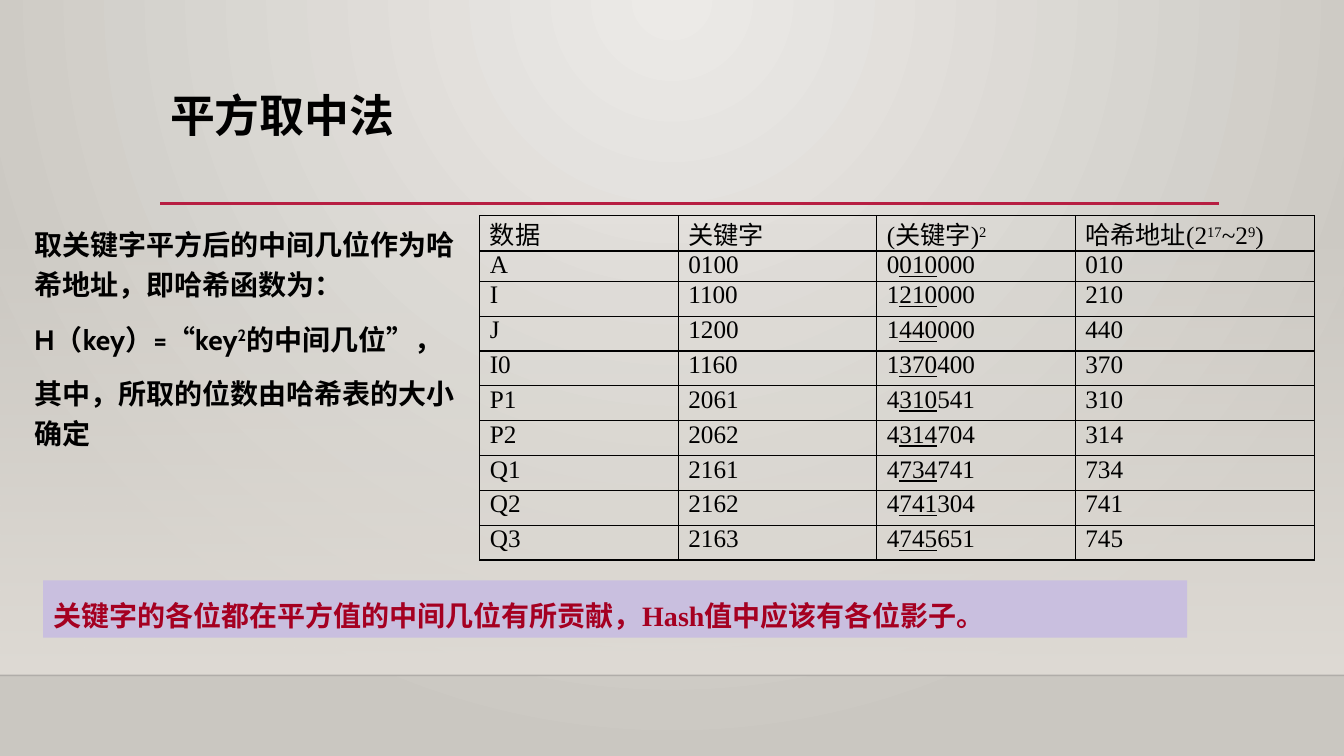
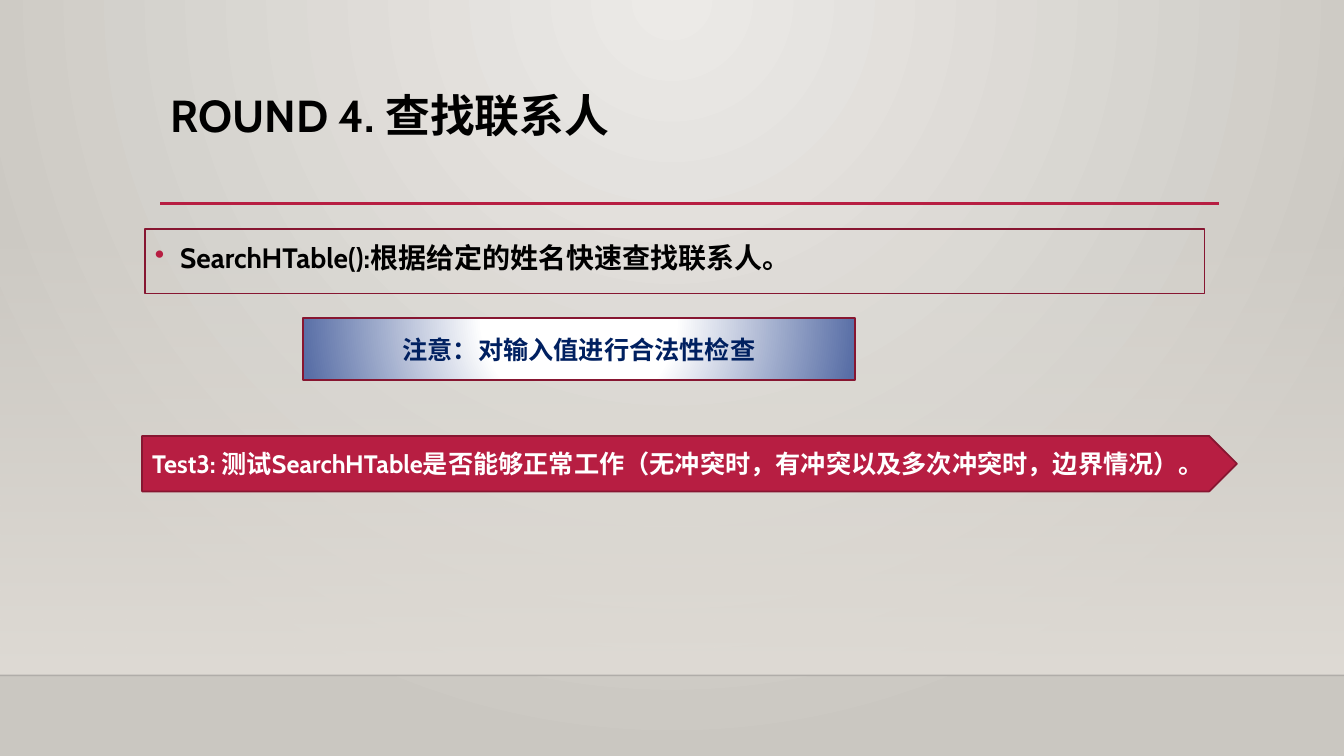
from dataclasses import dataclass
from typing import Any, NamedTuple, Optional, Sequence, Union

import pptx
import pptx.dml.color
import pptx.enum.shapes
import pptx.enum.text
import pptx.oxml
import pptx.oxml.ns
import pptx.util

Pt = pptx.util.Pt
qn = pptx.oxml.ns.qn
ALIGN = pptx.enum.text.PP_ALIGN
ANCHOR = pptx.enum.text.MSO_ANCHOR
PRESET = pptx.enum.shapes.MSO_SHAPE


@dataclass(frozen=True)
class Theme:
    black: str = "000000"
    white: str = "FFFFFF"
    navy: str = "002060"
    accent: str = "B71E42"
    accent_dark: str = "871631"
    note_fill: str = "C9BFDF"
    note_text: str = "A50021"
    glow_blue: str = "586EA6"
    light: str = "ECEAE7"
    shade: str = "CAC7C1"
    floor: str = "DFDBD5"
    floor_edge: str = "000001"
    sans: str = "Cabin"
    serif: str = "Times New Roman"
    title_size: float = 32
    body_size: float = 20
    small_size: float = 18


THEME = Theme()


class Box(NamedTuple):
    left: float
    top: float
    width: float
    height: float


class Stop(NamedTuple):
    position: int
    color: str
    alpha: int = 100


class Span(NamedTuple):
    text: str
    raised: bool = False
    underlined: bool = False


Line = Union[str, Sequence[Span]]


@dataclass(frozen=True)
class TextStyle:
    size: float
    color: str = THEME.black
    font: str = THEME.sans
    bold: bool = True
    align: Any = ALIGN.LEFT
    spacing: float = 1.0
    gap: float = 0
    bullet: Optional[str] = None


@dataclass(frozen=True)
class Panel:
    preset: Any
    box: Box
    text: str
    style: TextStyle
    fill: Optional[str] = None
    edge: Optional[str] = None
    edge_width: float = 1.25
    anchor: Any = ANCHOR.MIDDLE


TITLE = TextStyle(THEME.title_size, spacing=0.9)
BODY = TextStyle(THEME.body_size, spacing=1.2, gap=10)
BULLET = TextStyle(THEME.body_size, spacing=1.2, bullet="•")
CELL = TextStyle(THEME.small_size, font=THEME.serif, bold=False, align=ALIGN.JUSTIFY)
NOTE = TextStyle(THEME.body_size, THEME.note_text, THEME.serif, spacing=1.4)
HINT = TextStyle(THEME.small_size, THEME.navy, align=ALIGN.CENTER)
TEST = TextStyle(THEME.small_size, THEME.white)


# Drawing helpers
def rgb(color: str) -> Any:
    return pptx.dml.color.RGBColor.from_string(color)


def xml(markup: str) -> Any:
    """Build an element from markup whose root tag lacks its namespace."""
    tag_end = min(markup.index(mark) for mark in " />" if mark in markup)
    declared = f"{markup[:tag_end]} {pptx.oxml.ns.nsdecls('a')}{markup[tag_end:]}"
    return pptx.oxml.parse_xml(declared)


def set_gradient(parent: Any, stops: Sequence[Stop],
                 focus: Optional[Sequence[int]] = None) -> None:
    """Swap the solid fill in parent for a radial or top-down gradient."""
    marks = "".join(
        f'<a:gs pos="{s.position * 1000}"><a:srgbClr val="{s.color}">'
        f'<a:alpha val="{s.alpha * 1000}"/></a:srgbClr></a:gs>' for s in stops)
    if focus:
        sides = " ".join(f'{side}="{value * 1000}"' for side, value in zip("ltrb", focus))
        course = f'<a:path path="circle"><a:fillToRect {sides}/></a:path>'
    else:
        course = '<a:lin ang="5400000" scaled="0"/>'
    gradient = xml(f'<a:gradFill rotWithShape="1"><a:gsLst>{marks}</a:gsLst>{course}</a:gradFill>')
    parent.replace(parent.find(qn("a:solidFill")), gradient)


def write(frame: Any, lines: Sequence[Line], style: TextStyle) -> None:
    frame.word_wrap = True
    for index, line in enumerate(lines):
        paragraph = frame.add_paragraph() if index else frame.paragraphs[0]
        paragraph.alignment = style.align
        paragraph.line_spacing = style.spacing
        paragraph.space_before = Pt(style.gap if index else 0)
        if style.bullet:
            properties = paragraph._p.get_or_add_pPr()
            properties.set("marL", str(Pt(18)))
            properties.set("indent", str(-Pt(18)))
            properties.append(xml(f'<a:buClr><a:srgbClr val="{THEME.accent}"/></a:buClr>'))
            properties.append(xml(f'<a:buChar char="{style.bullet}"/>'))
        for span in [Span(line)] if isinstance(line, str) else line:
            run = paragraph.add_run()
            run.text = span.text
            run.font.size = Pt(style.size)
            run.font.name = style.font
            run.font.bold = style.bold
            run.font.color.rgb = rgb(style.color)
            if span.underlined:
                run.font.underline = True
            if span.raised:
                run._r.get_or_add_rPr().set("baseline", "30000")


def add_text(slide: Any, box: Box, lines: Sequence[Line], style: TextStyle) -> None:
    write(slide.shapes.add_textbox(*map(Pt, box)).text_frame, lines, style)


def add_rule(slide: Any, left: float, right: float, y: float,
             color: str, width: float, alpha: int = 100) -> None:
    rule = slide.shapes.add_connector(
        pptx.enum.shapes.MSO_CONNECTOR.STRAIGHT, Pt(left), Pt(y), Pt(right), Pt(y))
    rule.line.color.rgb = rgb(color)
    rule.line.width = Pt(width)
    shade = rule.element.spPr.find(f".//{qn('a:srgbClr')}")
    shade.append(xml(f'<a:alpha val="{alpha * 1000}"/>'))
    rule.element.spPr.append(xml("<a:effectLst/>"))


def add_panel(slide: Any, panel: Panel) -> Any:
    shape = slide.shapes.add_shape(panel.preset, *map(Pt, panel.box))
    shape.shadow.inherit = False
    if panel.fill:
        shape.fill.solid()
        shape.fill.fore_color.rgb = rgb(panel.fill)
    else:
        shape.fill.background()
    if panel.edge:
        shape.line.color.rgb = rgb(panel.edge)
        shape.line.width = Pt(panel.edge_width)
    else:
        shape.line.fill.background()
    if panel.text:
        shape.text_frame.vertical_anchor = panel.anchor
        write(shape.text_frame, [panel.text], panel.style)
    return shape


def add_grid(slide: Any, left: float, top: float, widths: Sequence[float],
             heights: Sequence[float], rows: Sequence[Sequence[Line]]) -> None:
    table = slide.shapes.add_table(len(heights), len(widths), Pt(left), Pt(top),
                                   Pt(sum(widths)), Pt(sum(heights))).table
    table.first_row = table.horz_banding = False
    for column, width in zip(table.columns, widths):
        column.width = Pt(width)
    for row, height, lines in zip(table.rows, heights, rows):
        row.height = Pt(height)
        for cell, line in zip(row.cells, lines):
            cell.margin_top = cell.margin_bottom = Pt(0)
            cell.margin_left = cell.margin_right = Pt(7.2)
            cell.fill.background()
            write(cell.text_frame, [line], CELL)
            for index, side in enumerate("LRTB"):
                cell._tc.get_or_add_tcPr().insert(index, xml(
                    f'<a:ln{side} w="{Pt(1)}"><a:solidFill><a:srgbClr val="{THEME.black}"/>'
                    f'</a:solidFill></a:ln{side}>'))


# Shared backdrop and title
def start_slide(deck: Any, title: str) -> Any:
    slide = deck.slides.add_slide(deck.slide_layouts[6])
    slide.background.fill.solid()
    set_gradient(slide.element.find(f".//{qn('p:bgPr')}"),
                 [Stop(0, THEME.light), Stop(100, THEME.shade)], (43, 0, 43, 100))
    wall = add_panel(slide, Panel(PRESET.RECTANGLE, Box(0, 159, 960, 323.4), "",
                                  BODY, THEME.floor))
    set_gradient(wall.element.spPr, [Stop(0, THEME.floor, 0), Stop(100, THEME.floor)])
    add_rule(slide, 0, 960, 482.4, THEME.floor_edge, 1, 20)
    add_rule(slide, 114.5, 871, 145.4, THEME.accent, 2.5)
    add_text(slide, Box(114.5, 63.4, 756.5, 82.8), [title], TITLE)
    return slide


# Mid-square hashing: key, its square, and the three middle digits
HEADINGS: list[Line] = [
    "数据", "关键字", [Span("(关键字)"), Span("2", raised=True)],
    [Span("哈希地址(2"), Span("17", raised=True), Span("~2"),
     Span("9", raised=True), Span(")")],
]
ENTRIES = [
    ("A", "0100", "0010000"), ("I", "1100", "1210000"), ("J", "1200", "1440000"),
    ("I0", "1160", "1370400"), ("P1", "2061", "4310541"), ("P2", "2062", "4314704"),
    ("Q1", "2161", "4734741"), ("Q2", "2162", "4741304"), ("Q3", "2163", "4745651"),
]


def entry_row(name: str, key: str, square: str) -> list[Line]:
    middle = square[1:4]
    return [name, key,
            [Span(square[0]), Span(middle, underlined=True), Span(square[4:])], middle]


def mid_square_slide(deck: Any) -> None:
    slide = start_slide(deck, "平方取中法")
    add_text(slide, Box(17.3, 154.1, 325.4, 200), [
        "取关键字平方后的中间几位作为哈希地址，即哈希函数为：",
        [Span("H（key）=“key"), Span("2", raised=True), Span("的中间几位”，")],
        "其中，所取的位数由哈希表的大小确定",
    ], BODY)
    add_grid(slide, 342.7, 154.1, [141.8] * 3 + [170.6], [25.2, 20.4] + [24.9] * 8,
             [HEADINGS] + [entry_row(*entry) for entry in ENTRIES])
    add_panel(slide, Panel(
        PRESET.RECTANGLE, Box(30.8, 414.6, 817.2, 41),
        "关键字的各位都在平方值的中间几位有所贡献，Hash值中应该有各位影子。",
        NOTE, THEME.note_fill, anchor=ANCHOR.TOP))


# Contact lookup: task, hint and test
def lookup_slide(deck: Any) -> None:
    slide = start_slide(deck, "ROUND 4. 查找联系人")
    add_panel(slide, Panel(
        PRESET.RECTANGLE, Box(103.6, 163.5, 756.7, 46),
        "SearchHTable():根据给定的姓名快速查找联系人。",
        BULLET, edge=THEME.accent_dark, edge_width=1, anchor=ANCHOR.TOP))
    hint = add_panel(slide, Panel(
        PRESET.RECTANGLE, Box(216.2, 227, 394.6, 44.6), "注意：对输入值进行合法性检查",
        HINT, THEME.white, THEME.accent_dark))
    set_gradient(hint.element.spPr, [Stop(0, THEME.white), Stop(35, THEME.white),
                                     Stop(100, THEME.glow_blue)], (50, -80, 50, 180))
    add_panel(slide, Panel(
        PRESET.PENTAGON, Box(101.5, 311.4, 782, 39.6),
        "Test3: 测试SearchHTable是否能够正常工作（无冲突时，有冲突以及多次冲突时，边界情况）。",
        TEST, THEME.accent, THEME.accent_dark))


def main() -> None:
    deck = pptx.Presentation()
    deck.slide_width, deck.slide_height = Pt(960), Pt(540)
    mid_square_slide(deck)
    lookup_slide(deck)
    deck.save("out.pptx")


if __name__ == "__main__":
    main()
